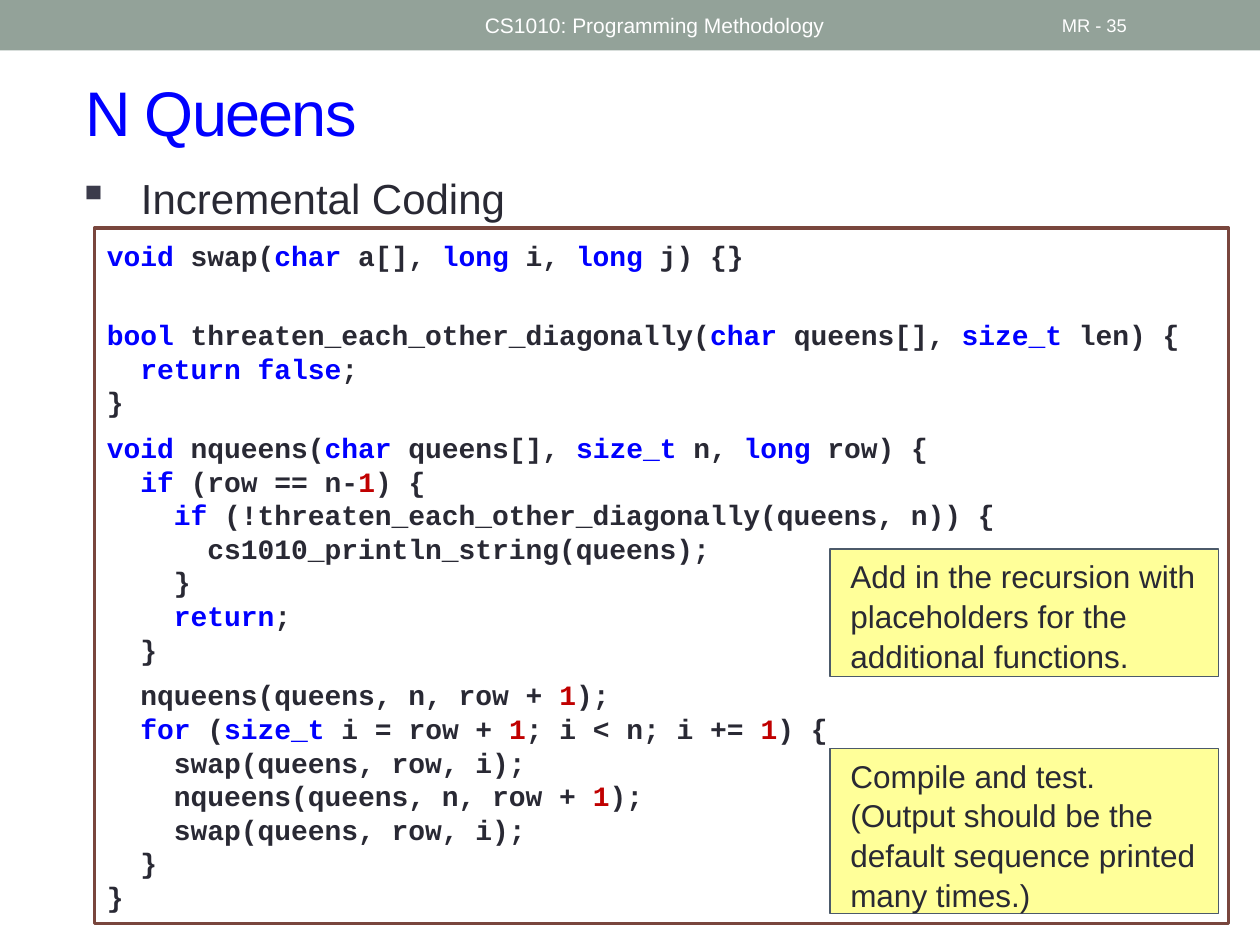
"""Build the N Queens incremental coding slide."""
import itertools
import pptx
import pptx.util
import pptx.dml.color
import pptx.enum.shapes
import pptx.enum.text
import pptx.oxml
import lxml.etree
from pptx.util import Inches

INK, BLUE, RED, WHITE = "292934", "0000FF", "C00000", "FFFFFF"
KEYWORDS = {"void", "char", "long", "bool", "size_t", "return", "false", "if", "for"}
TOKEN_COLORS = {"1": RED, **dict.fromkeys(KEYWORDS, BLUE)}
CODE = """void swap(char a[], long i, long j) {}
bool threaten_each_other_diagonally(char queens[], size_t len) {
  return false;
}
void nqueens(char queens[], size_t n, long row) {
  if (row == n-1) {
    if (!threaten_each_other_diagonally(queens, n)) {
      cs1010_println_string(queens);
    }
    return;
  }
  nqueens(queens, n, row + 1);
  for (size_t i = row + 1; i < n; i += 1) {
    swap(queens, row, i);
    nqueens(queens, n, row + 1);
    swap(queens, row, i);
  }
}"""
CODE_GAPS = {1: 26.2, 4: 7, 11: 7}


def rgb(color):
    return pptx.dml.color.RGBColor.from_string(color)


def add_text(text, x, y, w, h, size=18, color=INK, font="Arial", bold=False, fill=None,
             line=None, line_width=1, middle=False, top=0.05, indent=0, bullet=None,
             spacing=None, spc=None, gaps={}, token_colors={}):
    box = (Inches(x), Inches(y), Inches(w), Inches(h))
    if fill:
        sp = s.shapes.add_shape(pptx.enum.shapes.MSO_SHAPE.RECTANGLE, *box)
        sp.shadow.inherit = False
        sp.fill.solid()
        sp.fill.fore_color.rgb = rgb(fill)
        if line:
            sp.line.color.rgb = rgb(line)
            sp.line.width = pptx.util.Pt(line_width)
        else:
            sp.line.fill.background()
    else:
        sp = s.shapes.add_textbox(*box)
    tf = sp.text_frame
    tf.word_wrap = True
    tf.margin_top = Inches(top)
    anchor = pptx.enum.text.MSO_ANCHOR
    tf.vertical_anchor = anchor.MIDDLE if middle else anchor.TOP
    for i, words in enumerate(text.split("\n")):
        p = tf.add_paragraph() if i else tf.paragraphs[0]
        p.alignment = pptx.enum.text.PP_ALIGN.LEFT
        p.line_spacing = spacing
        if i in gaps:
            p.space_before = pptx.util.Pt(gaps[i])
        pPr = p._p.get_or_add_pPr()
        pPr.set("marL", str(Inches(indent)))
        if bullet:
            pPr.set("indent", str(-Inches(indent)))
            buClr = lxml.etree.SubElement(pPr, pptx.oxml.ns.qn("a:buClr"))
            lxml.etree.SubElement(buClr, pptx.oxml.ns.qn("a:srgbClr"), val="3B3B4B")
            lxml.etree.SubElement(pPr, pptx.oxml.ns.qn("a:buChar"), char=bullet)
        runs = [words]
        if token_colors:
            groups = itertools.groupby(words, lambda c: c.isalnum() or c == "_")
            runs = ["".join(chars) for _, chars in groups]
        for token in runs:
            r = p.add_run()
            r.text = token
            r.font.name = font
            r.font.size = pptx.util.Pt(size)
            r.font.bold = bold
            r.font.color.rgb = rgb(token_colors.get(token, color))
            if spc:
                r._r.get_or_add_rPr().set("spc", str(spc))


prs = pptx.Presentation()
prs.slide_width, prs.slide_height = Inches(10), Inches(7.5)
s = prs.slides.add_slide(prs.slide_layouts[6])

add_text("", 0, 0, 10, 0.4, fill="93A299")
add_text("N Queens", 0.58, 0.42, 9.17, 0.92, size=36, color=BLUE, middle=True, spc=-100)
add_text("Incremental Coding", 0.52, 1.29, 8.69, 5.88, size=24, top=0.08, indent=0.5, bullet="▪")
add_text(CODE, 0.75, 1.81, 9, 5.52, size=16, font="Courier New", bold=True, fill=WHITE,
         line="79463D", line_width=2.08, top=0.08, spacing=pptx.util.Pt(19.2),
         gaps=CODE_GAPS, token_colors=TOKEN_COLORS)

notes = [
    ("Add in the recursion with placeholders for the additional functions.", 4.36, 1.01),
    ("Compile and test. (Output should be the default sequence printed many times.)", 5.94, 1.31),
]
for note, y, h in notes:
    add_text(note, 6.59, y, 3.08, h, fill="FFFF99", line="4C5A6A", indent=0.06, spacing=1.05)

for label, x, w, size in [("CS1010: Programming Methodology", 3.75, 4.5, 12),
                          ("MR - 35", 8.33, 1.17, 10.5)]:
    add_text(label, x, 0.02, w, 0.36, size=size, color=WHITE, middle=True)

prs.save("out.pptx")
